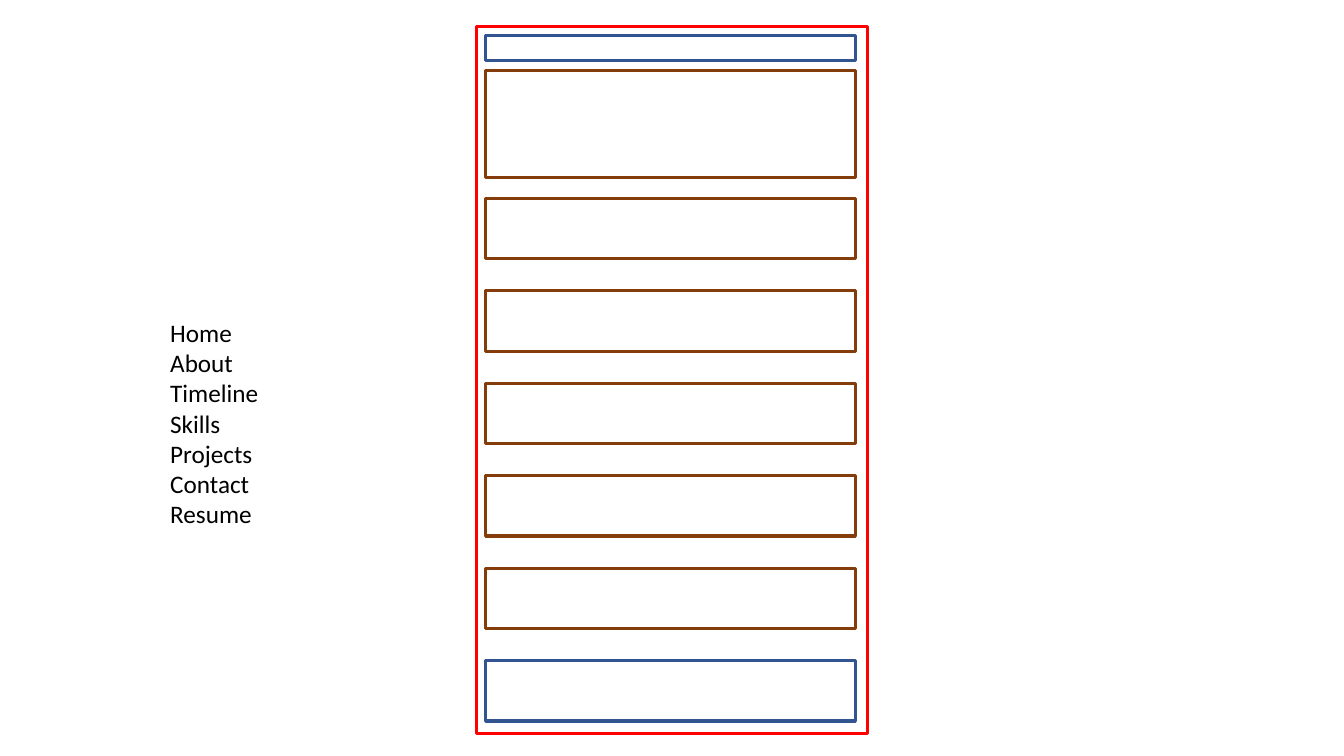
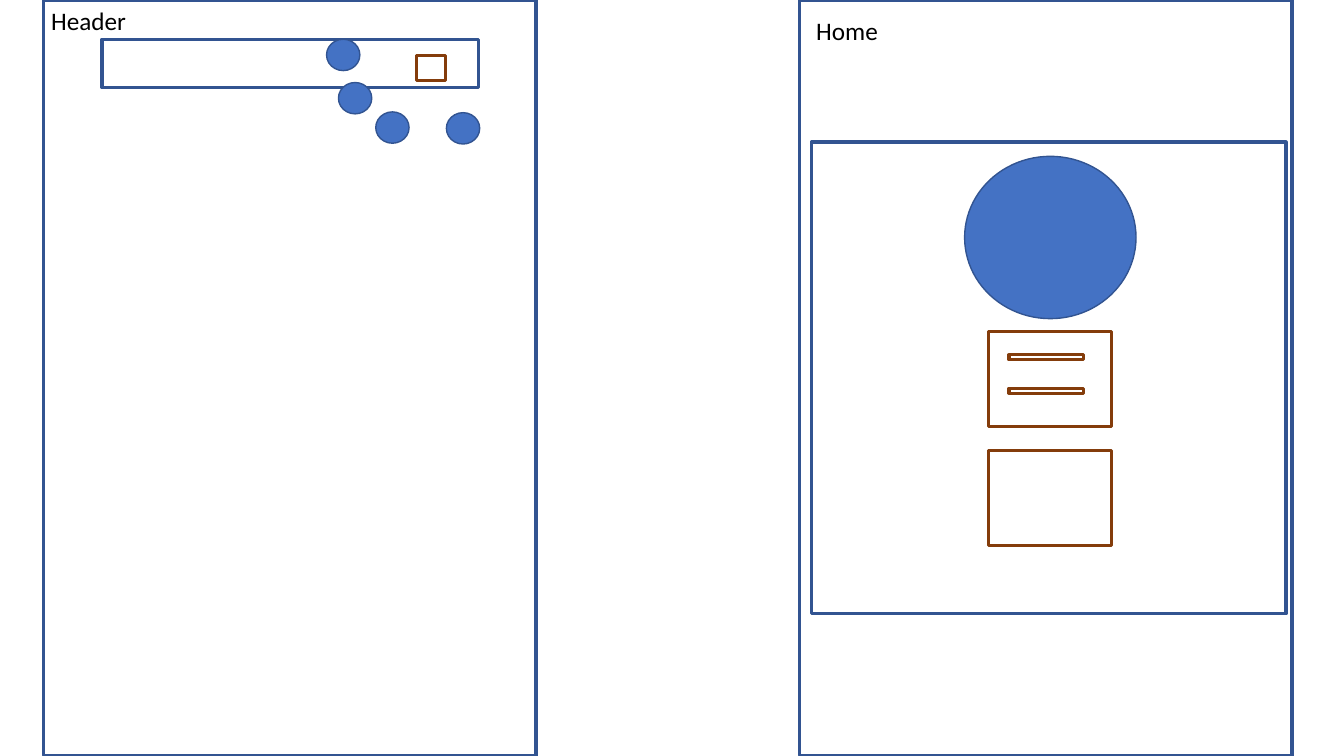
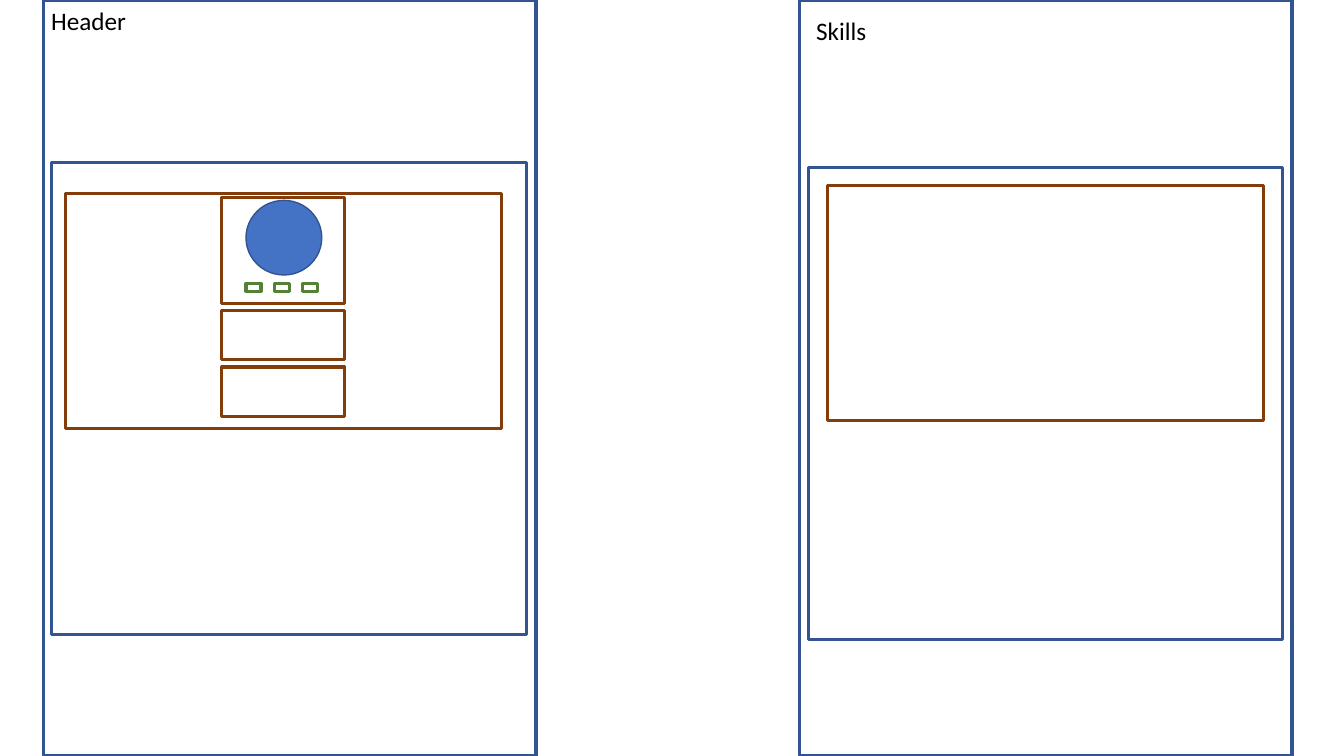
from dataclasses import dataclass

from pptx import Presentation
from pptx.dml.color import RGBColor
from pptx.enum.shapes import MSO_SHAPE
from pptx.slide import Slide
from pptx.util import Cm, Pt

RECT = MSO_SHAPE.RECTANGLE
OVAL = MSO_SHAPE.OVAL

RED = RGBColor(0xFF, 0x00, 0x00)
NAVY = RGBColor(0x32, 0x54, 0x91)
BLUE = RGBColor(0x44, 0x72, 0xC4)
BROWN = RGBColor(0x84, 0x3C, 0x0B)
GREEN = RGBColor(0x54, 0x82, 0x35)
BLACK = RGBColor(0x00, 0x00, 0x00)

FONT = "Calibri"
WIDE, HIGH = 33.87, 19.05
PAGE_W = 12.42
PAGES = (1.09, 20.14)
PANEL = (11.96, 11.89)
CARD = (11, 5.92)
BOX_W = 3.1


@dataclass(frozen=True)
class Area:
    left: float
    top: float
    width: float
    height: float

    def cm(self) -> tuple[Cm, Cm, Cm, Cm]:
        return Cm(self.left), Cm(self.top), Cm(self.width), Cm(self.height)


def add_frame(slide: Slide, area: Area, color: RGBColor) -> None:
    shape = slide.shapes.add_shape(RECT, *area.cm())
    shape.shadow.inherit = False
    shape.fill.background()
    shape.line.color.rgb = color
    shape.line.width = Pt(2.25)


def add_disc(slide: Slide, area: Area) -> None:
    shape = slide.shapes.add_shape(OVAL, *area.cm())
    shape.shadow.inherit = False
    shape.fill.solid()
    shape.fill.fore_color.rgb = BLUE
    shape.line.color.rgb = NAVY
    shape.line.width = Pt(1)


def add_text(slide: Slide, text: str, area: Area, *, size: float = 18,
             color: RGBColor = BLACK, font: str = FONT) -> None:
    frame = slide.shapes.add_textbox(*area.cm()).text_frame
    frame.word_wrap = True
    frame.text = text
    for para in frame.paragraphs:
        para.font.size = Pt(size)
        para.font.name = font
        para.font.color.rgb = color


def add_pages(slide: Slide, left: str, right: str) -> None:
    for x in PAGES:
        add_frame(slide, Area(x, 0, PAGE_W, HIGH), NAVY)
    add_text(slide, left, Area(1.04, 0, 2.57, 1.02))
    add_text(slide, right, Area(20.32, 0.25, 2.57, 1.02))


def draw_site(slide: Slide) -> None:
    left, width = 12.24, 9.32
    add_frame(slide, Area(12.01, 0.66, 9.86, 17.83), RED)
    add_frame(slide, Area(left, 0.89, width, 0.64), NAVY)
    add_frame(slide, Area(left, 1.78, width, 2.69), BROWN)
    bands = [BROWN] * 5 + [NAVY]
    for i, color in enumerate(bands):
        add_frame(slide, Area(left, 5 + 2.33 * i, width, 1.52), color)
    names = ("Home", "About", "Timeline", "Skills",
             "Projects", "Contact", "Resume")
    add_text(slide, "\n".join(names), Area(4.04, 7.87, 3.38, 6.4))


def draw_home(slide: Slide) -> None:
    add_pages(slide, "Header", "Home")
    add_frame(slide, Area(2.57, 0.99, 9.5, 1.22), NAVY)
    add_frame(slide, Area(10.49, 1.4, 0.74, 0.64), BROWN)
    for x, y in ((8.23, 0.99), (8.53, 2.08), (9.47, 2.82), (11.25, 2.84)):
        add_disc(slide, Area(x, y, 0.84, 0.79))
    add_frame(slide, Area(20.45, 3.58, *PANEL), NAVY)
    add_disc(slide, Area(24.31, 3.94, 4.32, 4.09))
    for y in (8.36, 11.35):
        add_frame(slide, Area(24.92, y, BOX_W, 2.39), BROWN)
    for y in (8.94, 9.78):
        add_frame(slide, Area(25.43, y, 1.88, 0.13), BROWN)


def draw_skills(slide: Slide) -> None:
    add_pages(slide, "Header", "Skills")
    for x, y in ((1.3, 4.09), (20.37, 4.22)):
        add_frame(slide, Area(x, y, *PANEL), NAVY)
    for x, y in ((1.65, 4.88), (20.85, 4.67)):
        add_frame(slide, Area(x, y, *CARD), BROWN)
    add_disc(slide, Area(6.2, 5.05, 1.91, 1.88))
    for y, height in ((4.98, 2.67), (7.82, 1.24), (9.25, 1.24)):
        add_frame(slide, Area(5.59, y, BOX_W, height), BROWN)
    for i in range(3):
        add_frame(slide, Area(6.2 + 0.71 * i, 7.14, 0.38, 0.2), GREEN)


def main() -> None:
    deck = Presentation()
    deck.slide_width, deck.slide_height = Cm(WIDE), Cm(HIGH)
    blank = deck.slide_layouts.get_by_name("Blank")
    for draw in (draw_site, draw_home, draw_skills):
        draw(deck.slides.add_slide(blank))
    deck.save("out.pptx")


if __name__ == "__main__":
    main()
